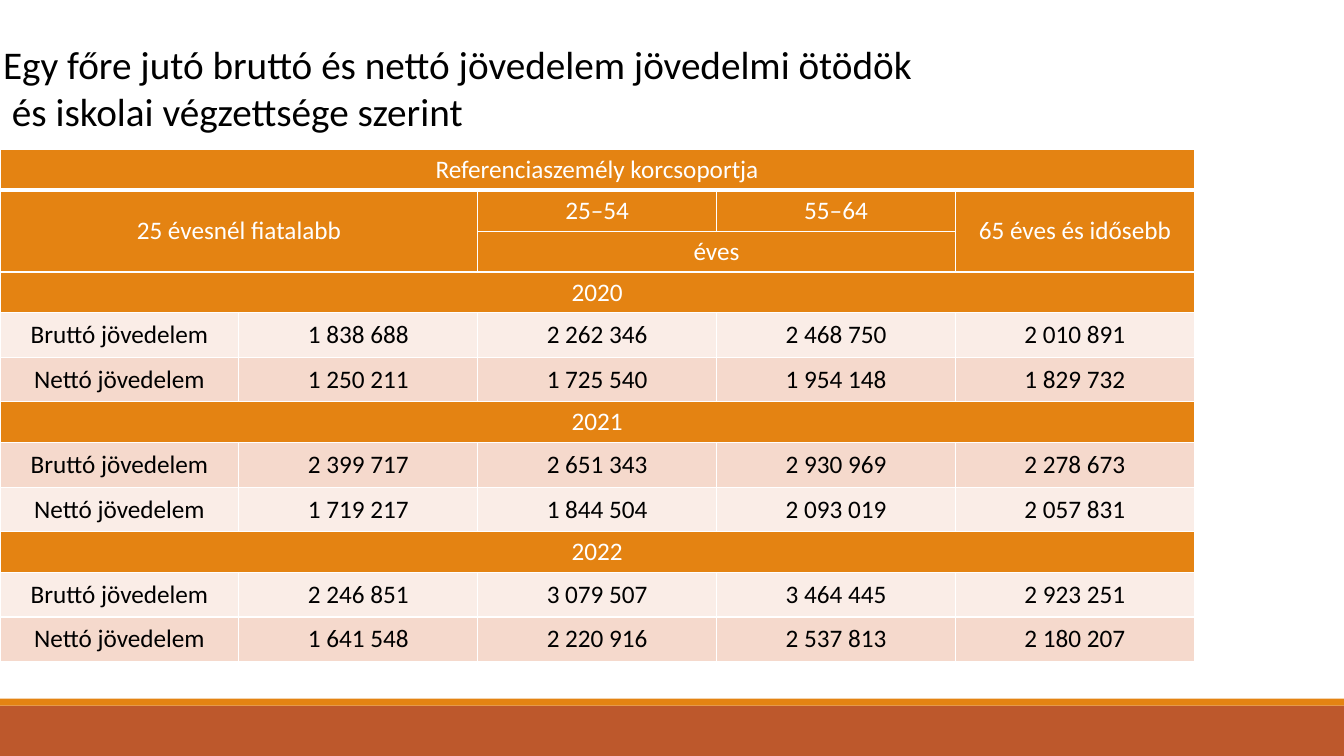
"""Build the slide on gross and net income per head by age group."""
from dataclasses import dataclass

from lxml.etree import SubElement
from pptx import Presentation
from pptx.dml.color import RGBColor
from pptx.enum.shapes import MSO_SHAPE
from pptx.enum.text import MSO_ANCHOR, MSO_AUTO_SIZE, PP_ALIGN
from pptx.oxml.ns import qn
from pptx.slide import Slide
from pptx.table import Table, _Cell
from pptx.util import Pt

FONT = "Calibri"
WHITE, BLACK = "FFFFFF", "000000"
ORANGE, RUST = "E48312", "BD582C"
LIGHT_BAND, DARK_BAND = "FAEDE7", "F5D9CC"
SLIDE_WIDTH, SLIDE_HEIGHT = 960, 540
COLUMN_COUNT, COLUMN_WIDTH = 5, 170.64
HEADER_HEIGHT, BODY_HEIGHT = 29.2, 31.8
TABLE_TOP = 106.7
THIN, THICK = 1, 3


@dataclass
class FooterBar:
    top: float
    height: float
    fill: str


@dataclass
class HeaderCell:
    row: int
    column: int
    text: str
    rows: int = 1
    columns: int = 1


@dataclass
class IncomeYear:
    year: str
    gross: list[str]
    net: list[str]


FOOTER_BARS = [FooterBar(504, 36, RUST), FooterBar(499, 5, ORANGE)]
TITLE_LINES = [
    ("Egy főre jutó bruttó és nettó jövedelem jövedelmi ötödök", 0),
    ("és iskolai végzettsége szerint", 6.3),
]
HEADER_ROWS = 3
HEADER_CELLS = [
    HeaderCell(0, 0, "Referenciaszemély korcsoportja", columns=COLUMN_COUNT),
    HeaderCell(1, 0, "25 évesnél fiatalabb", rows=2, columns=2),
    HeaderCell(1, 2, "25–54"),
    HeaderCell(1, 3, "55–64"),
    HeaderCell(1, 4, "65 éves és idősebb", rows=2),
    HeaderCell(2, 2, "éves", columns=2),
]
INCOME_YEARS = [
    IncomeYear("2020",
               ["1 838 688", "2 262 346", "2 468 750", "2 010 891"],
               ["1 250 211", "1 725 540", "1 954 148", "1 829 732"]),
    IncomeYear("2021",
               ["2 399 717", "2 651 343", "2 930 969", "2 278 673"],
               ["1 719 217", "1 844 504", "2 093 019", "2 057 831"]),
    IncomeYear("2022",
               ["2 246 851", "3 079 507", "3 464 445", "2 923 251"],
               ["1 641 548", "2 220 916", "2 537 813", "2 180 207"]),
]


def color(value: str) -> RGBColor:
    return RGBColor.from_string(value)


def add_footer_bar(slide: Slide, bar: FooterBar) -> None:
    shape = slide.shapes.add_shape(
        MSO_SHAPE.RECTANGLE, 0, Pt(bar.top), Pt(SLIDE_WIDTH), Pt(bar.height))
    shape.shadow.inherit = False
    shape.fill.solid()
    shape.fill.fore_color.rgb = color(bar.fill)
    shape.line.fill.background()


def fill_title(slide: Slide) -> None:
    title = slide.shapes.title
    title.left, title.top = Pt(-5), Pt(-9.4)
    title.width, title.height = Pt(905.8), Pt(108.7)
    frame = title.text_frame
    frame.word_wrap = True
    frame.auto_size = MSO_AUTO_SIZE.NONE
    frame.vertical_anchor = MSO_ANCHOR.BOTTOM
    frame.text = "\n".join(text for text, _ in TITLE_LINES)
    for paragraph, (_, indent) in zip(frame.paragraphs, TITLE_LINES):
        paragraph.alignment = PP_ALIGN.LEFT
        paragraph.line_spacing = 1.0
        paragraph._p.get_or_add_pPr().set("marL", str(Pt(indent)))
        paragraph.font.size = Pt(28)
        paragraph.font.name = FONT
        paragraph.font.color.rgb = color(BLACK)


def style_cell(cell: _Cell, fill: str, top: float, bottom: float) -> None:
    cell.vertical_anchor = MSO_ANCHOR.MIDDLE
    properties = cell._tc.get_or_add_tcPr()
    for side, width in (("L", THIN), ("R", THIN), ("T", top), ("B", bottom)):
        line = SubElement(properties, qn(f"a:ln{side}"), w=str(Pt(width)))
        solid = SubElement(line, qn("a:solidFill"))
        SubElement(solid, qn("a:srgbClr"), val=WHITE)
    cell.fill.solid()
    cell.fill.fore_color.rgb = color(fill)


def write_cell(cell: _Cell, text: str, text_color: str) -> None:
    cell.text = text
    paragraph = cell.text_frame.paragraphs[0]
    paragraph.alignment = PP_ALIGN.CENTER
    paragraph.font.size = Pt(18)
    paragraph.font.name = FONT
    paragraph.font.color.rgb = color(text_color)


def write_header(table: Table, header: HeaderCell) -> None:
    cell = table.cell(header.row, header.column)
    if header.rows > 1 or header.columns > 1:
        cell.merge(table.cell(header.row + header.rows - 1,
                              header.column + header.columns - 1))
    write_cell(cell, header.text, WHITE)


def add_income_table(slide: Slide) -> None:
    year_rows = [HEADER_ROWS + 3 * index for index in range(len(INCOME_YEARS))]
    orange_rows = {*range(HEADER_ROWS), *year_rows}
    row_count = HEADER_ROWS + 3 * len(INCOME_YEARS)
    heights = [HEADER_HEIGHT if row in orange_rows else BODY_HEIGHT
               for row in range(row_count)]
    table = slide.shapes.add_table(
        row_count, COLUMN_COUNT, 0, Pt(TABLE_TOP),
        Pt(COLUMN_COUNT * COLUMN_WIDTH), Pt(sum(heights))).table
    for column in table.columns:
        column.width = Pt(COLUMN_WIDTH)
    for index, (row, height) in enumerate(zip(table.rows, heights)):
        row.height = Pt(height)
        band = DARK_BAND if index % 2 else LIGHT_BAND
        fill = ORANGE if index in orange_rows else band
        for cell in row.cells:
            style_cell(cell, fill, THICK if index == 1 else THIN,
                       THICK if index == 0 else THIN)
    for header in HEADER_CELLS:
        write_header(table, header)
    for row, income in zip(year_rows, INCOME_YEARS):
        write_header(table, HeaderCell(row, 0, income.year, columns=COLUMN_COUNT))
        lines = (["Bruttó jövedelem", *income.gross],
                 ["Nettó jövedelem", *income.net])
        for offset, line in enumerate(lines, start=1):
            for column, text in enumerate(line):
                write_cell(table.cell(row + offset, column), text, BLACK)


def main() -> None:
    presentation = Presentation()
    presentation.slide_width = Pt(SLIDE_WIDTH)
    presentation.slide_height = Pt(SLIDE_HEIGHT)
    slide = presentation.slides.add_slide(
        presentation.slide_layouts.get_by_name("Title Only"))
    for bar in FOOTER_BARS:
        add_footer_bar(slide, bar)
    fill_title(slide)
    add_income_table(slide)
    presentation.save("out.pptx")


if __name__ == "__main__":
    main()
